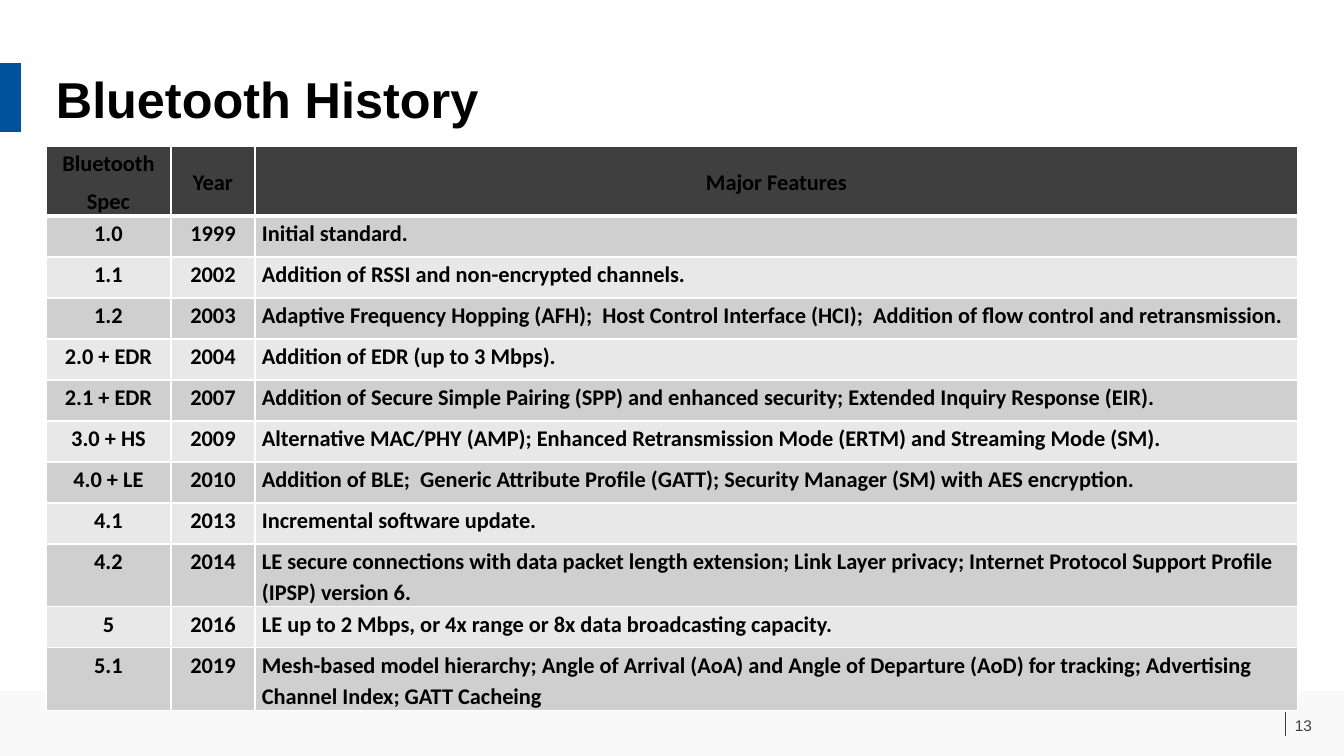
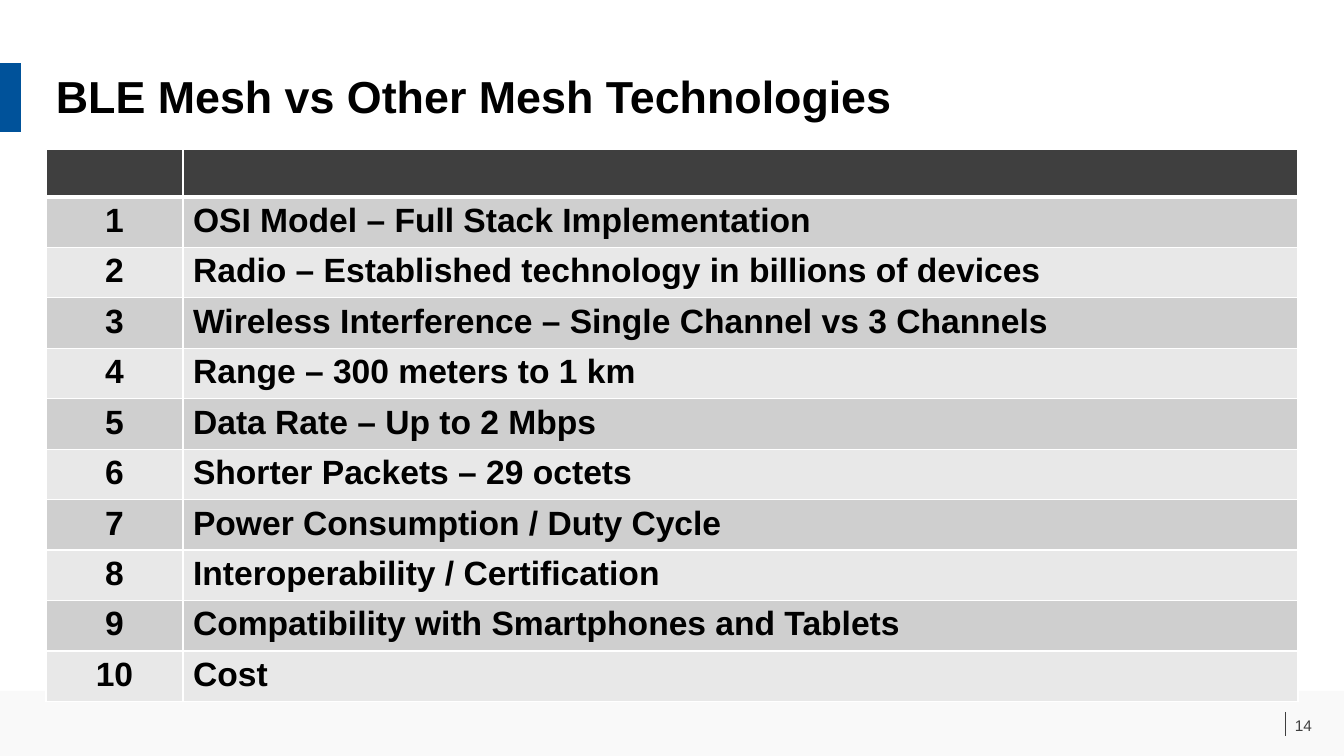
from dataclasses import dataclass

from lxml import etree
from pptx import Presentation
from pptx.dml.color import RGBColor as Rgb
from pptx.enum.shapes import MSO_CONNECTOR as Connector, MSO_SHAPE as Preset
from pptx.enum.text import MSO_ANCHOR as Anchor, PP_ALIGN as Align
from pptx.oxml.ns import qn
from pptx.util import Pt

EMU_PER_PX = 914400 / 100.8


@dataclass(frozen=True)
class Theme:
    """Colours, fonts and type sizes of the deck."""
    text: str = "000000"
    white: str = "FFFFFF"
    accent: str = "00529A"
    band: str = "F9F9F9"
    dark: str = "3F3F3F"
    stripes: tuple = ("CFCFCF", "E8E8E8")
    sans: str = "Arial"
    table_sans: str = "Calibri"
    title_size: int = 36
    long_title_size: int = 32
    history_size: int = 16
    comparison_size: int = 24
    page_size: int = 11
    rule: float = 0.5
    border: int = 1
    header_border: int = 3


THEME = Theme()
SLIDE_BOX = (0, 0, 1344, 756)
TITLE_BOX = (46, 70, 1252, 61)
HISTORY_BOX = (46, 146, 1252, 565)
COMPARISON_BOX = (46, 149, 1252, 523)

TITLE_PARAGRAPH = {"line_spacing": 0.9}
HISTORY_PARAGRAPH = {"line_spacing": 1.15}
HISTORY_MARGINS = {"margin_left": 7, "margin_right": 7, "margin_top": 0, "margin_bottom": 0}

HISTORY = [
    ("Bluetooth\nSpec", "Year", "Major Features"),
    ("1.0", "1999", "Initial standard."),
    ("1.1", "2002", "Addition of RSSI and non-encrypted channels."),
    ("1.2", "2003", "Adaptive Frequency Hopping (AFH);  Host Control Interface (HCI);  "
                    "Addition of flow control and retransmission."),
    ("2.0 + EDR", "2004", "Addition of EDR (up to 3 Mbps)."),
    ("2.1 + EDR", "2007", "Addition of Secure Simple Pairing (SPP) and enhanced security; "
                          "Extended Inquiry Response (EIR)."),
    ("3.0 + HS", "2009", "Alternative MAC/PHY (AMP); Enhanced Retransmission Mode (ERTM) "
                         "and Streaming Mode (SM)."),
    ("4.0 + LE", "2010", "Addition of BLE;  Generic Attribute Profile (GATT); "
                         "Security Manager (SM) with AES encryption."),
    ("4.1", "2013", "Incremental software update."),
    ("4.2", "2014", "LE secure connections with data packet length extension; Link Layer "
                    "privacy; Internet Protocol Support Profile (IPSP) version 6."),
    ("5", "2016", "LE up to 2 Mbps, or 4x range or 8x data broadcasting capacity."),
    ("5.1", "2019", "Mesh-based model hierarchy; Angle of Arrival (AoA) and Angle of Departure "
                    "(AoD) for tracking; Advertising Channel Index; GATT Cacheing"),
]

ADVANTAGES = [
    "OSI Model – Full Stack Implementation",
    "Radio – Established technology in billions of devices",
    "Wireless Interference – Single Channel vs 3 Channels",
    "Range – 300 meters to 1 km",
    "Data Rate – Up to 2 Mbps",
    "Shorter Packets – 29 octets",
    "Power Consumption / Duty Cycle",
    "Interoperability / Certification",
    "Compatibility with Smartphones and Tablets",
    "Cost",
]


def px(length):
    """Turn px into EMU."""
    return round(length * EMU_PER_PX)


def apply(target, values):
    """Set each attribute of the target from a dict."""
    for name, value in values.items():
        setattr(target, name, value)


def write(frame, text, size, font=THEME.sans, color=THEME.text, bold=True, **paragraph_format):
    """Write the lines of a text as formatted paragraphs."""
    for index, line in enumerate(text.split("\n")):
        paragraph = frame.add_paragraph() if index else frame.paragraphs[0]
        apply(paragraph, paragraph_format)
        if index:
            paragraph.space_before = Pt(5)
        run = paragraph.add_run()
        run.text = line
        apply(run.font, {"name": font, "size": Pt(size), "bold": bold})
        run.font.color.rgb = Rgb.from_string(color)


def add_label(slide, box, text, size, anchor=Anchor.TOP, **text_format):
    """Add a wrapped text box."""
    frame = slide.shapes.add_textbox(*map(px, box)).text_frame
    apply(frame, {"word_wrap": True, "vertical_anchor": anchor})
    write(frame, text, size, **text_format)


def add_block(slide, box, color):
    """Add a plain filled rectangle."""
    block = slide.shapes.add_shape(Preset.RECTANGLE, *map(px, box))
    block.shadow.inherit = False
    block.fill.solid()
    block.fill.fore_color.rgb = Rgb.from_string(color)
    block.line.fill.background()


def add_footer(slide, box, page):
    """Add the bottom band with its rule and page number."""
    left, top, width, height = box
    add_block(slide, box, THEME.band)
    rule_x = left + width - 59
    rule = slide.shapes.add_connector(
        Connector.STRAIGHT, *map(px, (rule_x, top + 21, rule_x, top + 45)))
    rule.line.width = Pt(THEME.rule)
    rule.line.color.rgb = Rgb.from_string(THEME.dark)
    etree.SubElement(rule._element.spPr, qn("a:effectLst"))
    add_label(slide, (rule_x, top + 19, 70, 30), str(page), THEME.page_size,
              Anchor.MIDDLE, color=THEME.dark, bold=False)


def add_frame(deck, title, title_size, page):
    """Add a slide with its footer, accent mark and title."""
    slide = deck.slides.add_slide(deck.slide_layouts[6])
    left, top, width, height = SLIDE_BOX
    add_footer(slide, (left, top + height - 65, width, 65), page)
    add_block(slide, (left, top + 63, 21, 69), THEME.accent)
    add_label(slide, TITLE_BOX, title, title_size, **TITLE_PARAGRAPH)
    return slide


def add_borders(cell, widths):
    """Draw the white borders of a cell from a dict of side widths."""
    properties = cell._tc.get_or_add_tcPr()
    for side, width in widths.items():
        border = etree.SubElement(properties, qn(f"a:ln{side}"), w=str(Pt(width)))
        fill = etree.SubElement(border, qn("a:solidFill"))
        etree.SubElement(fill, qn("a:srgbClr"), val=THEME.white)


def add_grid(slide, box, rows, widths, heights, margins, **text_format):
    """Add a striped table with a dark header and a left-aligned last column."""
    grid = slide.shapes.add_table(len(rows), len(widths), *map(px, box)).table
    for column, width in zip(grid.columns, widths):
        column.width = px(width)
    for row, height in zip(grid.rows, heights):
        row.height = px(height)
    for r, texts in enumerate(rows):
        sides = dict.fromkeys("LRTB", THEME.border)
        if r < 2:
            sides["T" if r else "B"] = THEME.header_border
        for c, text in enumerate(texts):
            cell = grid.cell(r, c)
            add_borders(cell, sides)
            cell.fill.solid()
            color = THEME.stripes[(r - 1) % 2] if r else THEME.dark
            cell.fill.fore_color.rgb = Rgb.from_string(color)
            apply(cell, {name: px(margin) for name, margin in margins.items()})
            cell.vertical_anchor = Anchor.TOP if r else Anchor.MIDDLE
            if text:
                is_body = r > 0 and c == len(texts) - 1
                write(cell.text_frame, text, **text_format,
                      alignment=Align.LEFT if is_body else Align.CENTER)


def add_history(deck, page):
    """Add the slide on the versions of the standard."""
    slide = add_frame(deck, "Bluetooth History", THEME.title_size, page)
    heights = [70] + [41] * 8 + [63, 41, 63]
    add_grid(slide, HISTORY_BOX, HISTORY, (125, 84, 1043), heights, HISTORY_MARGINS,
             size=THEME.history_size, font=THEME.table_sans, **HISTORY_PARAGRAPH)


def add_comparison(deck, page):
    """Add the slide on the numbered points of comparison."""
    slide = add_frame(deck, "BLE Mesh vs Other Mesh Technologies", THEME.long_title_size, page)
    rows = [("", "")] + [(str(n), point) for n, point in enumerate(ADVANTAGES, 1)]
    heights = [48] + [47] * len(ADVANTAGES)
    add_grid(slide, COMPARISON_BOX, rows, (137, 1115), heights, {}, size=THEME.comparison_size)


def main():
    """Build and save the deck."""
    deck = Presentation()
    apply(deck, {"slide_width": px(SLIDE_BOX[2]), "slide_height": px(SLIDE_BOX[3])})
    for page, add_page in enumerate((add_history, add_comparison), 13):
        add_page(deck, page)
    deck.save("out.pptx")


if __name__ == "__main__":
    main()
